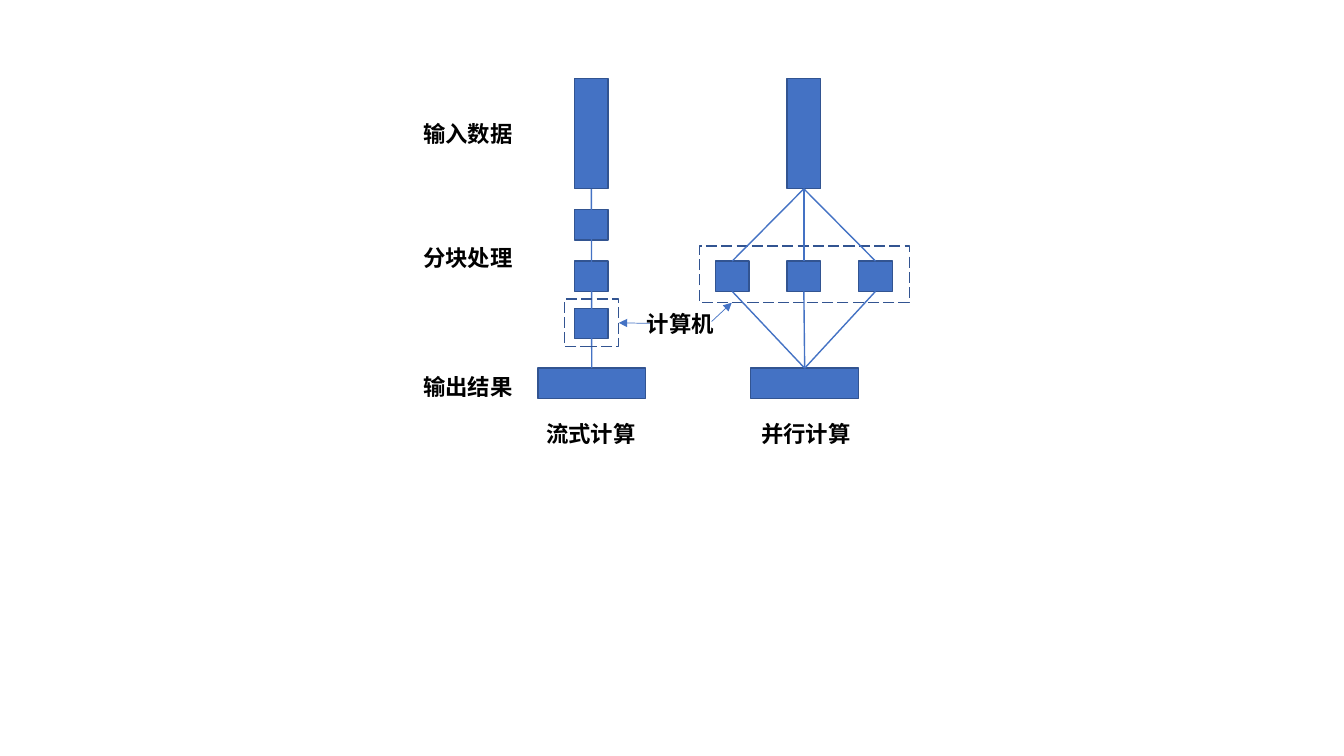
import pptx
import pptx.util
import pptx.dml.color
import pptx.enum.dml
import pptx.enum.shapes
import pptx.enum.text
import pptx.oxml
import pptx.oxml.ns
import lxml.etree
from dataclasses import dataclass

Pt = pptx.util.Pt
TOP, BOTTOM, RIGHT = 0, 2, 3


@dataclass
class Theme:
    fill: str = "4472C4"
    edge: str = "325491"
    ink: str = "000000"
    font: str = "Noto Sans CJK SC"
    size: float = 16
    thick: float = 1
    thin: float = 0.5


class Board:
    def __init__(self, slide, theme):
        self.shapes = slide.shapes
        self.theme = theme

    def color(self, code):
        return pptx.dml.color.RGBColor.from_string(code)

    def box(self, mid, top, width, height, dashed=False):
        shape = self.shapes.add_shape(
            pptx.enum.shapes.MSO_SHAPE.RECTANGLE,
            Pt(mid - width / 2), Pt(top), Pt(width), Pt(height))
        shape.shadow.inherit = False
        shape.line.color.rgb = self.color(self.theme.edge)
        shape.line.width = Pt(self.theme.thick)
        if dashed:
            shape.fill.background()
            shape.line.dash_style = pptx.enum.dml.MSO_LINE.LONG_DASH
        else:
            shape.fill.solid()
            shape.fill.fore_color.rgb = self.color(self.theme.fill)
        return shape

    def line(self, start, end, width):
        link = self.shapes.add_connector(
            pptx.enum.shapes.MSO_CONNECTOR.STRAIGHT,
            *(Pt(value) for value in start + end))
        link.line.color.rgb = self.color(self.theme.fill)
        link.line.width = Pt(width)
        props = link._element.spPr
        lxml.etree.SubElement(props, pptx.oxml.ns.qn("a:effectLst"))
        return link

    def join(self, first, last):
        link = self.line((0, 0), (0, 0), self.theme.thick)
        link.begin_connect(first, BOTTOM)
        link.end_connect(last, TOP)

    def arrow(self, start, end):
        link = self.line(start, end, self.theme.thin)
        edge = link.line._get_or_add_ln()
        tail = lxml.etree.SubElement(edge, pptx.oxml.ns.qn("a:tailEnd"))
        tail.set("type", "triangle")
        return link

    def label(self, words, left, top, width):
        frame = self.shapes.add_textbox(
            Pt(left), Pt(top), Pt(width), Pt(26.6)).text_frame
        frame.word_wrap = False
        frame.auto_size = pptx.enum.text.MSO_AUTO_SIZE.SHAPE_TO_FIT_TEXT
        para = frame.paragraphs[0]
        para.text = words
        font = para.font
        font.name = self.theme.font
        font.size = Pt(self.theme.size)
        font.bold = True
        font.color.rgb = self.color(self.theme.ink)
        east = lxml.etree.SubElement(font._element, pptx.oxml.ns.qn("a:ea"))
        east.set("typeface", self.theme.font)


def main():
    deck = pptx.Presentation()
    deck.slide_width, deck.slide_height = Pt(960), Pt(540)
    board = Board(deck.slides.add_slide(deck.slide_layouts[6]), Theme())

    stream, fan, step = 422.4, 574.2, 51.2
    block = (24, 21.6)
    source = (56.2, 24, 78.7)
    result = (263, 77, 21.6)

    fan_in = board.box(fan, *source)
    nodes = [board.box(fan + step * i, 186.5, *block) for i in (-1, 0, 1)]
    board.box(fan + 0.4, 175.8, 150, 40.4, dashed=True)
    fan_out = board.box(fan + 0.6, *result)
    for node in nodes:
        board.join(fan_in, node)
        board.join(node, fan_out)

    flow_in = board.box(stream, *source)
    for top in (149.8, 186.5, 220.4):
        board.box(stream, top, *block)
    flow_out = board.box(stream + 0.3, *result)
    board.join(flow_in, flow_out)
    host = board.box(stream + 0.2, 213.6, 38.9, 34, dashed=True)

    board.label("计算机", 455, 218.2, 63.4)
    board.arrow((508.3, 229.7), (522.7, 216.2))
    board.arrow((464.4, 231), (442, 230.6)).end_connect(host, RIGHT)

    for words, top in (("输入数据", 82), ("分块处理", 170.6), ("输出结果", 263)):
        board.label(words, 295.2, top, 79.2)
    for words, left in (("流式计算", 383), ("并行计算", 536.6)):
        board.label(words, left, 296.6, 79.2)

    deck.save("out.pptx")


if __name__ == "__main__":
    main()
